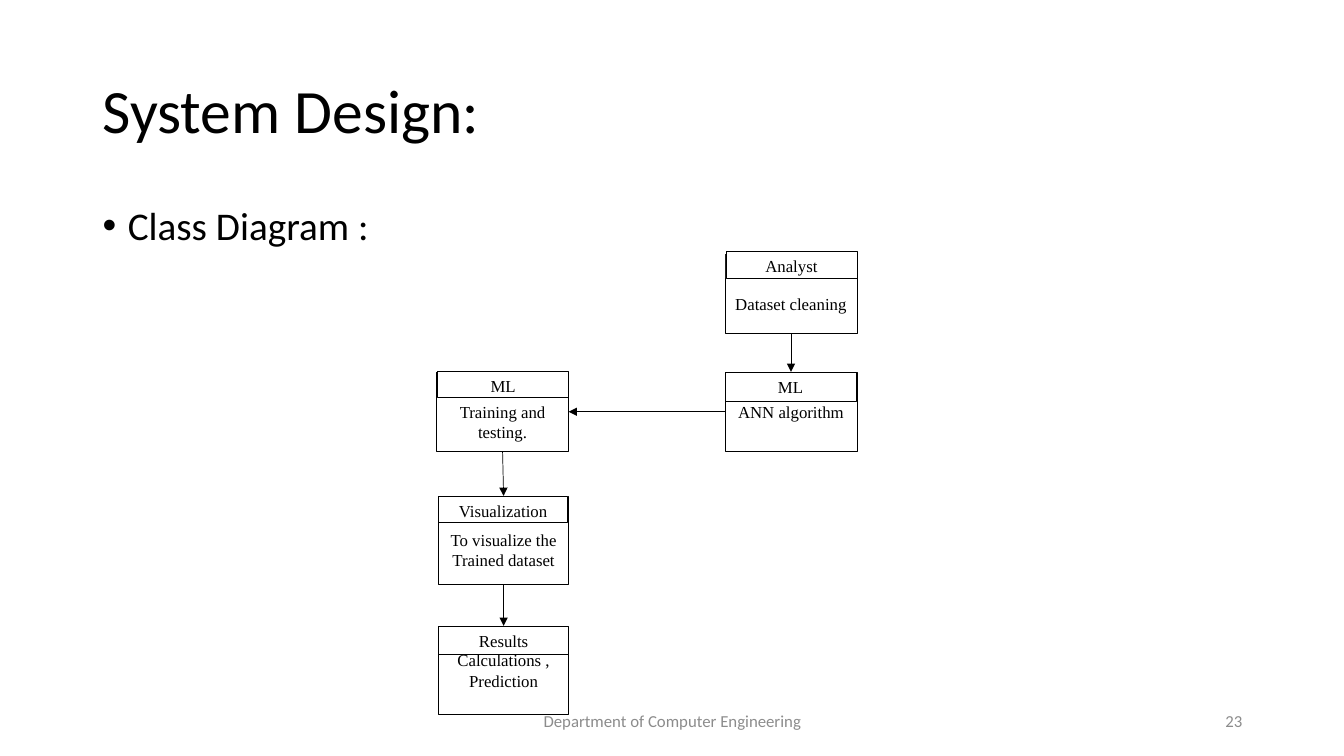
from lxml.etree import SubElement
from pptx import Presentation
from pptx.dml.color import RGBColor
from pptx.enum.shapes import MSO_CONNECTOR, MSO_SHAPE
from pptx.enum.text import MSO_ANCHOR, PP_ALIGN
from pptx.oxml.ns import qn
from pptx.util import Inches, Pt

COLORS = {"ink": "000000", "paper": "FFFFFF", "footer": "8C8C8C"}
TOP, LEFT, BOTTOM, RIGHT = range(4)
LINE_HEIGHT = 0.19

CLASSES = {
    "analyst": ((7.19, 2.52, 1.31, 0.79), (7.2, 2.49, 1.3, 0.27),
                "Analyst", ["Dataset cleaning"], LINE_HEIGHT),
    "algorithm": ((7.19, 3.69, 1.31, 0.79), (7.19, 3.69, 1.3, 0.29),
                  "ML", ["ANN algorithm"], 0),
    "training": ((4.33, 3.69, 1.31, 0.79), (4.34, 3.68, 1.3, 0.26),
                 "ML", ["Training and testing."], LINE_HEIGHT),
    "visualization": ((4.35, 4.92, 1.29, 0.88), (4.35, 4.92, 1.28, 0.26),
                      "Visualization", ["To visualize the", "Trained dataset"], LINE_HEIGHT),
    "results": ((4.35, 6.21, 1.29, 0.88), (4.35, 6.21, 1.29, 0.28),
                "Results", ["Calculations ,", "Prediction"], 0),
}
FLOWS = [
    ("analyst", BOTTOM, "algorithm", TOP),
    ("algorithm", LEFT, "training", RIGHT),
    ("training", BOTTOM, "visualization", TOP),
    ("visualization", BOTTOM, "results", TOP),
]


def color(name):
    return RGBColor.from_string(COLORS[name])


def write_lines(shape, lines, size, font, ink, align, anchor):
    frame = shape.text_frame
    frame.word_wrap = True
    frame.vertical_anchor = anchor
    for index, line in enumerate(lines):
        paragraph = frame.add_paragraph() if index else frame.paragraphs[0]
        paragraph.alignment = align
        run = paragraph.add_run()
        run.text = line
        run.font.size = Pt(size)
        run.font.name = font
        run.font.color.rgb = color(ink)
    return frame


def add_label(slide, box, text, size, ink="ink", align=PP_ALIGN.LEFT, anchor=MSO_ANCHOR.MIDDLE):
    shape = slide.shapes.add_textbox(*map(Inches, box))
    return write_lines(shape, [text], size, "Calibri", ink, align, anchor).paragraphs[0]


def add_heading(slide, box):
    add_label(slide, box, "System Design:", 44).line_spacing = 0.9


def add_bullet(slide, box):
    paragraph = add_label(slide, box, "Class Diagram :", 28, anchor=MSO_ANCHOR.TOP)
    paragraph.line_spacing = 0.9
    paragraph.space_before = Pt(10)
    properties = paragraph._p.get_or_add_pPr()
    properties.set("marL", str(Inches(0.25)))
    properties.set("indent", str(-Inches(0.25)))
    SubElement(properties, qn("a:buFont"), typeface="Arial")
    SubElement(properties, qn("a:buChar"), char="•")


def add_footer(slide, box):
    left, top, width, height = box
    add_label(slide, (left, top, 4.5, height), "Department of Computer Engineering",
              12, "footer", PP_ALIGN.CENTER)
    add_label(slide, (left + width - 3, top, 3, height), "23", 12, "footer", PP_ALIGN.RIGHT)


def add_box(slide, box, lines, anchor):
    shape = slide.shapes.add_shape(MSO_SHAPE.RECTANGLE, *map(Inches, box))
    shape.shadow.inherit = False
    shape.fill.solid()
    shape.fill.fore_color.rgb = color("paper")
    shape.line.color.rgb = color("ink")
    shape.line.width = Pt(0.25)
    write_lines(shape, lines, 12, "Times New Roman", "ink", PP_ALIGN.CENTER, anchor)
    return shape


def add_class(slide, body_box, header_box, name, lines, offset):
    body = add_box(slide, body_box, lines, MSO_ANCHOR.MIDDLE)
    body.text_frame.margin_top = Inches(0.05 + offset)
    header = add_box(slide, header_box, [name], MSO_ANCHOR.TOP)
    header.text_frame.margin_bottom = 0
    return body


def add_flow(slide, source, source_side, target, target_side):
    connector = slide.shapes.add_connector(MSO_CONNECTOR.STRAIGHT, 0, 0, 0, 0)
    connector.begin_connect(source, source_side)
    connector.end_connect(target, target_side)
    connector.line.color.rgb = color("ink")
    connector.line.width = Pt(0.5)
    SubElement(connector.line._get_or_add_ln(), qn("a:tailEnd"), type="triangle")
    SubElement(connector._element.spPr, qn("a:effectLst"))


def add_class_diagram(slide):
    bodies = {key: add_class(slide, *parts) for key, parts in CLASSES.items()}
    for source, source_side, target, target_side in FLOWS:
        add_flow(slide, bodies[source], source_side, bodies[target], target_side)


def main():
    presentation = Presentation()
    presentation.slide_width = Inches(13.33)
    presentation.slide_height = Inches(7.5)
    slide = presentation.slides.add_slide(presentation.slide_layouts[6])
    slide.background.fill.solid()
    slide.background.fill.fore_color.rgb = color("paper")
    add_heading(slide, (0.92, 0.4, 11.5, 1.45))
    add_bullet(slide, (0.92, 2, 11.5, 4.76))
    add_footer(slide, (4.42, 6.95, 8, 0.4))
    add_class_diagram(slide)
    presentation.save("out.pptx")


if __name__ == "__main__":
    main()
